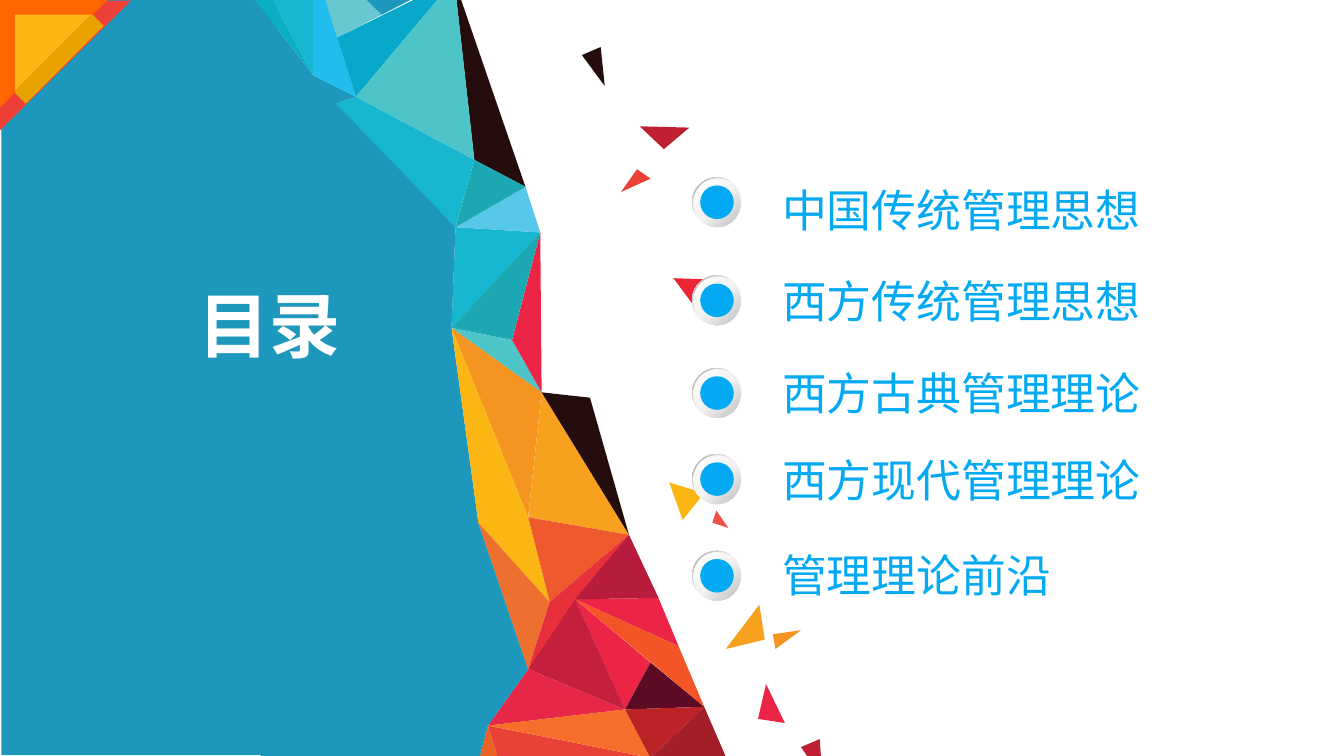
from typing import NamedTuple

from pptx import Presentation
from pptx.dml.color import RGBColor
from pptx.enum.shapes import MSO_SHAPE as Geo
from pptx.enum.text import MSO_AUTO_SIZE as AutoSize, PP_ALIGN as Align
from pptx.oxml import parse_xml
from pptx.oxml.ns import nsdecls
from pptx.util import Cm, Pt

COLORS = {
    "white": "FFFFFF", "pearl": "F2F2F2", "silver": "BFBFBF", "gray": "A6A6A6",
    "sea": "1D97BC", "azure": "03A9F3", "sky": "21BDEE", "pale_blue": "57C8EA",
    "cerulean": "08A8CA", "cyan": "17B7D1", "lagoon": "0AAEC5", "teal": "1BA8B2",
    "aqua": "4DC5C8", "mist": "69C7CF", "black": "260D0D", "plum": "5D0B24",
    "maroon": "A21F29", "brick": "BC2326", "crimson": "BE1F31", "wine": "B71C3C",
    "ruby": "C41F3D", "rose": "EC2546", "cerise": "E72748", "red": "EB2534",
    "scarlet": "E73039", "tomato": "E94138", "coral": "EE4037", "salmon": "EA5248",
    "flame": "F45526", "ember": "EE592E", "rust": "EB6323", "copper": "ED702E",
    "orange": "F66E29", "pumpkin": "FF6600", "amber": "F59421", "honey": "F8A11E",
    "gold": "FBB614", "ochre": "E7A200",
}

Point = tuple[float, float]


class Shard(NamedTuple):
    color: str
    corners: str


class Fragment(NamedTuple):
    color: str
    points: list[Point]


class Ornament(NamedTuple):
    color: str
    geometry: Geo
    frame: tuple[float, float, float, float]
    rotation: float


class Topic(NamedTuple):
    title: str
    label_top: float
    marker_top: float


# Shared corners of the mosaic; layout units are 2.54 cm
MESH: dict[str, Point] = {
    "A": (1.9, 0), "B": (2.03, 0), "C": (2.33, 0), "D": (2.33, 0.56),
    "E": (2.65, 0.72), "F": (2.41, -0.04), "G": (2.51, 0.28), "H": (2.84, 0.11),
    "I": (2.65, -0.1), "J": (3.38, -0.15), "K": (3.53, 1.19), "L": (3.91, 1.39),
    "M": (3.39, 1.69), "N": (4.02, 1.73), "O": (3.36, 2.44), "P": (3.81, 2.53),
    "Q": (4.03, 2.92), "R": (3.56, 3.89), "S": (4.09, 4.48), "T": (3.93, 3.85),
    "U": (4.68, 3.98), "V": (3.93, 4.98), "W": (4.39, 2.96), "X": (4.28, 4.46),
    "Y": (4.9, 4.45), "Z": (4.65, 5.28), "a": (5.24, 5.26), "b": (5.05, 4.81),
    "c": (3.63, 5.4), "d": (4.84, 4.93), "e": (3.57, 5.63), "f": (4.84, 5.64),
    "g": (5.4, 5.63), "h": (2.5, 0.77), "i": (3.13, -0.04), "j": (2.71, -0.02),
    "k": (3.7, 5.63), "l": (1.94, 5.65),
}

# Mosaic pieces, back to front
SHARDS = [Shard(*piece.split()) for piece in (
    "rose XZd", "plum Zad", "black JLK", "maroon agf", "rose XbY", "tomato ckf",
    "cerise VcZ", "aqua OPQ", "cyan MNO", "pale_blue MLN", "rust cek", "sky CFED",
    "sea ADMORVcel", "lagoon ABD", "cyan BCD", "sea DEh", "cyan EKMh", "teal KLM",
    "mist FIHG", "cerulean GEJ", "rose NPQ", "aqua JKE", "teal NPO", "amber OQT",
    "gold ORST", "honey QTU", "black QWU", "ember TSU", "copper RSV", "scarlet SUV",
    "wine XYU", "ruby XZV", "flame Xab", "orange cZf", "brick Zaf", "sea jHi",
)]

# Loose triangles on the white side
FRAGMENTS = [
    Fragment("coral", [(4.74, 1.26), (4.62, 1.43), (4.84, 1.33)]),
    Fragment("red", [(5.01, 2.07), (5.3, 2.08), (5.25, 2.39)]),
    Fragment("crimson", [(4.76, 0.94), (5.13, 0.95), (4.94, 1.11)]),
    Fragment("gold", [(4.98, 3.59), (5.24, 3.67), (5.08, 3.87)]),
    Fragment("honey", [(5.65, 4.5), (5.4, 4.83), (5.69, 4.76)]),
    Fragment("rose", [(5.7, 5.09), (5.64, 5.35), (5.84, 5.38)]),
    Fragment("amber", [(5.75, 4.72), (5.96, 4.69), (5.77, 4.83)]),
    Fragment("salmon", [(5.33, 3.8), (5.42, 3.93), (5.3, 3.89)]),
    Fragment("black", [(4.47, 0.35), (4.33, 0.41), (4.5, 0.64)]),
    Fragment("crimson", [(6.1, 5.5), (5.96, 5.56), (6.12, 5.79)]),
]

ORNAMENTS = [
    Ornament("coral", Geo.RIGHT_TRIANGLE, (0, 0, 0.97, 0.98), 90),
    Ornament("pumpkin", Geo.RIGHT_TRIANGLE, (0, 0, 0.8, 0.8), 90),
    Ornament("gold", Geo.RIGHT_TRIANGLE, (0.11, 0.11, 0.57, 0.57), 90),
    Ornament("ochre", Geo.RECTANGLE, (0.38, 0.03, 0.12, 0.82), 45),
]

TOPICS = [
    Topic("中国传统管理思想", 1.31, 1.32),
    Topic("西方传统管理思想", 1.99, 2.05),
    Topic("西方古典管理理论", 2.67, 2.74),
    Topic("西方现代管理理论", 3.32, 3.38),
    Topic("管理理论前沿", 4.03, 4.1),
]
LABEL_LEFT, LABEL_WIDTH, LABEL_HEIGHT = 5.72, 3.11, 0.5
MARKER_LEFT = 5.15

TOPIC_FONT = {"name": "Arial", "size": Pt(24)}
HEADING_FONT = {"name": "Arial", "size": Pt(38), "bold": True}


def length(units: float) -> Cm:
    return Cm(units * 2.54)


def paint(shape, color: str) -> None:
    shape.fill.solid()
    shape.fill.fore_color.rgb = RGBColor.from_string(COLORS[color])


def make_flat(shape) -> None:
    shape.line.fill.background()
    shape.shadow.inherit = False


def add_plain(shapes, geometry: Geo, frame: tuple, rotation: float = 0):
    shape = shapes.add_shape(geometry, *map(length, frame))
    shape.rotation = rotation
    make_flat(shape)
    return shape


def add_polygon(shapes, color: str, points: list[Point]) -> None:
    start, *rest = [(length(x), length(y)) for x, y in points]
    outline = shapes.build_freeform(*start, scale=1.0)
    outline.add_line_segments(rest, close=True)
    polygon = outline.convert_to_shape()
    paint(polygon, color)
    make_flat(polygon)


def shade(shape, stops: dict[str, int], angle: int) -> None:
    """Linear gradient, placed right after the geometry."""
    marks = "".join(f'<a:gs pos="{percent * 1000}"><a:srgbClr val="{COLORS[color]}"/></a:gs>'
                    for color, percent in stops.items())
    shape.element.spPr.insert(2, parse_xml(
        f'<a:gradFill {nsdecls("a")} rotWithShape="1"><a:gsLst>{marks}</a:gsLst>'
        f'<a:lin ang="{angle * 60000}" scaled="0"/></a:gradFill>'))


def add_marker(shapes, left: float, top: float) -> None:
    marker = shapes.add_group_shape().shapes
    rim = add_plain(marker, Geo.DONUT, (left, top, 0.37, 0.37))
    rim.adjustments[0] = 0.05
    shade(rim, {"white": 0, "pearl": 55, "gray": 100}, 225)
    button = add_plain(marker, Geo.OVAL, (left + 0.01, top + 0.01, 0.35, 0.36))
    shade(button, {"white": 0, "pearl": 51, "silver": 100}, 45)
    paint(add_plain(marker, Geo.OVAL, (left + 0.06, top + 0.06, 0.25, 0.25)), "azure")


def add_label(shapes, text: str, frame: tuple, color: str, font_format: dict,
              wrap: bool = True, align: Align = Align.LEFT) -> None:
    body = shapes.add_textbox(*map(length, frame)).text_frame
    body.word_wrap = wrap
    body.auto_size = AutoSize.SHAPE_TO_FIT_TEXT
    paragraph = body.paragraphs[0]
    paragraph.alignment = align
    run = paragraph.add_run()
    run.text = text
    for attribute, value in font_format.items():
        setattr(run.font, attribute, value)
    run.font.color.rgb = RGBColor.from_string(COLORS[color])


def main() -> None:
    deck = Presentation()
    deck.slide_width, deck.slide_height = Cm(25.4), Cm(14.29)
    shapes = deck.slides.add_slide(deck.slide_layouts[6]).shapes

    # Blue panel, mosaic and loose fragments
    paint(add_plain(shapes, Geo.RECTANGLE, (0.01, -0.01, 2.06, 5.63)), "sea")
    for shard in SHARDS:
        add_polygon(shapes, shard.color, [MESH[corner] for corner in shard.corners])
    for fragment in FRAGMENTS:
        add_polygon(shapes, fragment.color, fragment.points)

    # Top-left ornament
    for part in ORNAMENTS:
        paint(add_plain(shapes, part.geometry, part.frame, part.rotation), part.color)

    # Contents list
    for topic in TOPICS:
        add_label(shapes, topic.title, (LABEL_LEFT, topic.label_top, LABEL_WIDTH, LABEL_HEIGHT),
                  "azure", TOPIC_FONT)
        add_marker(shapes, MARKER_LEFT, topic.marker_top)

    # Heading
    add_label(shapes, "目录", (1.37, 2.05, 1.27, 0.74), "white", HEADING_FONT,
              wrap=False, align=Align.CENTER)

    deck.save("out.pptx")


if __name__ == "__main__":
    main()
